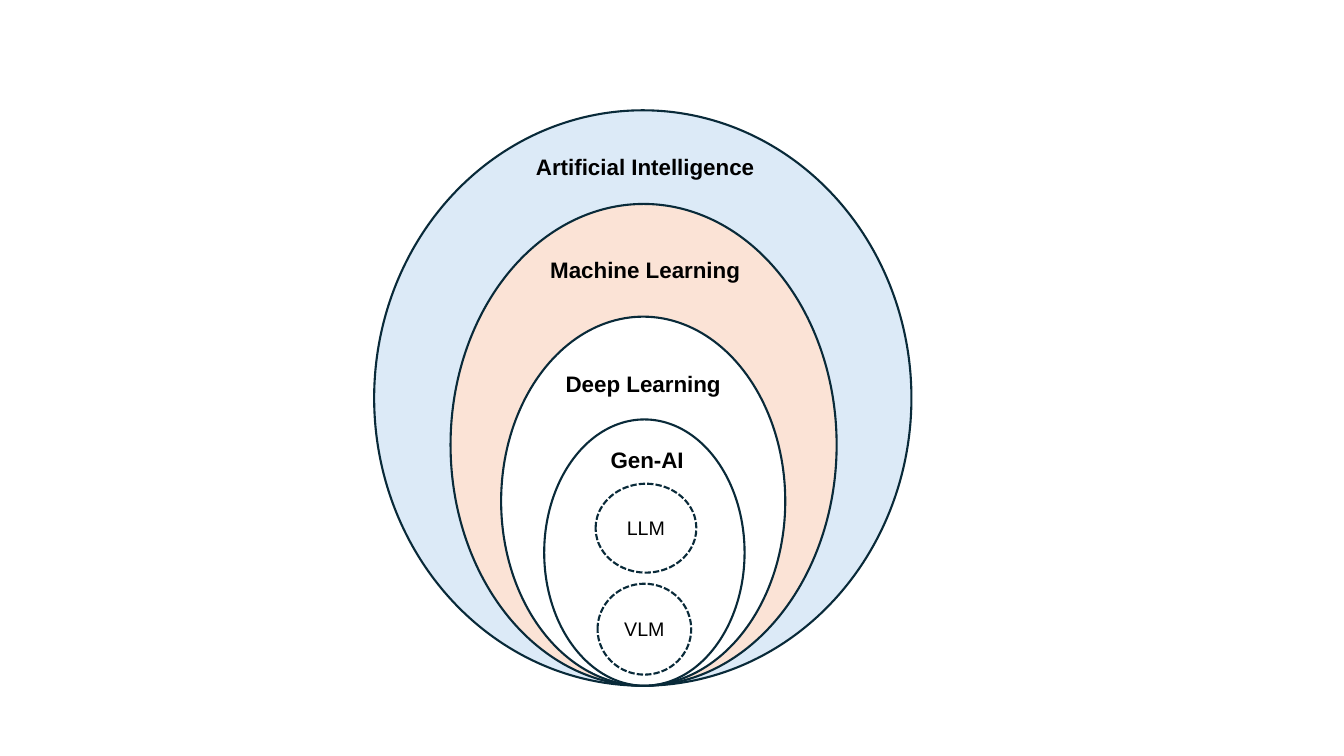
from pptx import Presentation
from pptx.dml.color import RGBColor
from pptx.enum.dml import MSO_LINE_DASH_STYLE as DASH
from pptx.enum.shapes import MSO_SHAPE as SHAPE
from pptx.enum.text import MSO_ANCHOR as ANCHOR, MSO_AUTO_SIZE as FIT, PP_ALIGN as ALIGN
from pptx.util import Cm, Pt


def rgb(code):
    return RGBColor.from_string(code)


class Diagram:
    font = "Arial"
    ink = "000000"
    outline = "092A39"

    def __init__(self, slide):
        self.slide = slide

    def set_text(self, tf, text, size, bold=False):
        p = tf.paragraphs[0]
        p.text = text
        p.alignment = ALIGN.CENTER
        p.font.name = self.font
        p.font.size = Pt(size)
        p.font.bold = bold
        p.font.color.rgb = rgb(self.ink)

    def ellipse(self, left, top, width, height, fill=None):
        sp = self.slide.shapes.add_shape(
            SHAPE.OVAL, Cm(left), Cm(top), Cm(width), Cm(height))
        sp.shadow.inherit = False
        if fill:
            sp.fill.solid()
            sp.fill.fore_color.rgb = rgb(fill)
        else:
            sp.fill.background()
        sp.line.color.rgb = rgb(self.outline)
        sp.line.width = Pt(1.5)
        return sp

    def model(self, text, left, top, width, height):
        sp = self.ellipse(left, top, width, height)
        sp.line.dash_style = DASH.SQUARE_DOT
        sp.text_frame.vertical_anchor = ANCHOR.MIDDLE
        self.set_text(sp.text_frame, text, 14)

    def label(self, text, center, top, width=7.16, height=0.94):
        box = self.slide.shapes.add_textbox(
            Cm(center - width / 2), Cm(top), Cm(width), Cm(height))
        tf = box.text_frame
        tf.word_wrap = True
        tf.auto_size = FIT.SHAPE_TO_FIT_TEXT
        self.set_text(tf, text, 16, bold=True)


def main():
    prs = Presentation()
    prs.slide_width, prs.slide_height = Cm(33.87), Cm(19.05)
    diagram = Diagram(prs.slides.add_slide(prs.slide_layouts[6]))

    # Nested fields, all touching at the bottom
    bottom = 17.28
    fields = [  # name, center, width, height, fill, label center, label top
        ("Artificial Intelligence", 16.2, 13.54, 14.5, "DCEAF7", 16.26, 3.73),
        ("Machine Learning", 16.22, 9.73, 12.14, "FBE3D6", 16.26, 6.32),
        ("Deep Learning", 16.21, 7.16, 9.3, "FFFFFF", 16.21, 9.19),
        ("Gen-AI", 16.24, 5.05, 6.71, None, 16.31, 11.13),
    ]
    for name, center, width, height, fill, label_center, label_top in fields:
        diagram.ellipse(center - width / 2, bottom - height, width, height, fill)
        diagram.label(name, label_center, label_top)

    # Model families inside Gen-AI
    diagram.model("LLM", 15.01, 12.19, 2.54, 2.24)
    diagram.model("VLM", 15.06, 14.71, 2.36, 2.29)

    prs.save("out.pptx")


if __name__ == "__main__":
    main()
